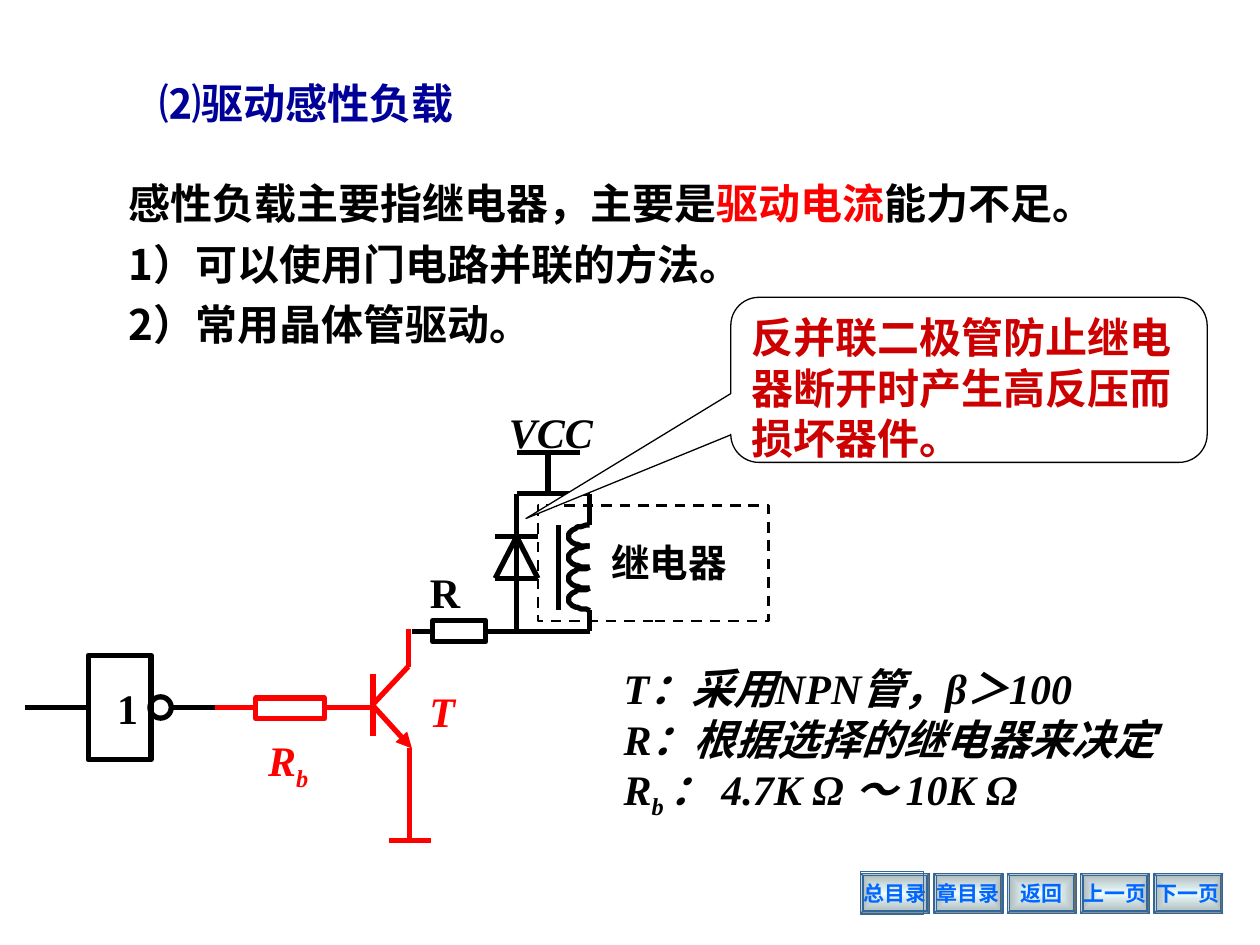
import math
from lxml import etree
from pptx import Presentation
from pptx import util as u
from pptx.dml.color import RGBColor
from pptx.enum import dml, shapes, text
from pptx.oxml import ns

SERIF, SANS = "Times New Roman", "Noto Sans CJK SC"
BLACK, RED, WHITE, EDGE = "000000", "FF0000", "FFFFFF", "336699"
KIND = shapes.MSO_SHAPE

TITLE = "⑵驱动感性负载"
INTRO = [
    [("感性负载主要指继电器，主要是", {}), ("驱动电流", {"colour": RED}), ("能力不足。", {})],
    [("1）可以使用门电路并联的方法。", {})],
    [("2）常用晶体管驱动。", {})],
]
ITALIC, SUB = {"italic": True}, {"italic": True, "sub": True}
NOTES = [
    [("T：采用NPN管，β＞100", ITALIC)],
    [("R：根据选择的继电器来决定", ITALIC)],
    [("R", ITALIC), ("b ", SUB), ("： 4.7K Ω ～ 10K Ω", ITALIC)],
]
CALLOUT = "反并联二极管防止继电器断开时产生高反压而损坏器件。"
BUTTONS = ["总目录", "章目录", "返回", "上一页", "下一页"]
# (left, top, width, height), colour, size, runs
LABELS = [
    ((59.8, 386.6, 28, 36), BLACK, 24, [("1", {})]),
    ((146.2, 416.2, 55.4, 40.3), RED, 24, [("R", ITALIC), ("b", SUB)]),
    ((238.3, 388.1, 38.9, 36), RED, 24, [("T", ITALIC)]),
    ((283.7, 228.8, 70, 36), BLACK, 24, [("VCC", ITALIC)]),
    ((342.2, 304.6, 88, 33.8), BLACK, 22, [("继电器", {})]),
    ((238.5, 320, 34, 36), BLACK, 24, [("R", {})]),
]

# Circuit nodes: x of diode, coil and supply; y of top rail, bottom rail and base line
DIODE, COIL, SUPPLY = 295.2, 337, 313.2
TOP, BOTTOM, BASE = 282.2, 360.7, 404.2
COIL_TOP, TURN, TURNS = 300.3, 12.05, 4
COIL_END = COIL_TOP + TURN * TURNS
BLACK_WIRES = [
    (14.4, BASE, 50.4, BASE), (97.9, BASE, 123.1, BASE),  # gate in and out
    (235.4, BOTTOM, 247, BOTTOM), (277.2, BOTTOM, COIL, BOTTOM),
    (DIODE, TOP, DIODE, BOTTOM), (DIODE, TOP, COIL, TOP),
    (283, 306.7, 307.4, 306.7), (283, 330.5, 307.4, 330.5),  # diode bars
    (307.4, 330.5, DIODE, 306.7), (283, 330.5, DIODE, 306.7),
    (COIL, TOP, COIL, COIL_TOP), (COIL, COIL_END, COIL, BOTTOM),
    (319, COIL_TOP, 319, COIL_END),  # coil core
    (SUPPLY, TOP, SUPPLY, 258.5), (295.2, 258.5, 331.2, 258.5),
]
RED_WIRES = [
    (123.1, BASE, 211.7, BASE), (213.1, 385.2, 213.1, 420.5),
    (213.1, 402.5, 233.3, 380.9), (233.3, 380.9, 233.3, 359.3),
    (234, 427.7, 234, 480.2), (222.5, 480.2, 246.2, 480.2),
]
EMITTER = (213.1, 403.2, 235.4, 427.7)

deck = Presentation()
deck.slide_width, deck.slide_height = u.Pt(720), u.Pt(540)
page = deck.slides.add_slide(deck.slide_layouts[5])


def rgb(value):
    return RGBColor.from_string(value)


def points(values):
    return [u.Pt(value) for value in values]


def write(box, paras, colour=BLACK, size=24, font=SERIF, wrap=True,
          align=text.PP_ALIGN.LEFT, anchor=text.MSO_ANCHOR.TOP, spacing=None):
    frame = box.text_frame
    frame.word_wrap, frame.vertical_anchor = wrap, anchor
    frame.margin_left = frame.margin_right = u.Pt(7.2)
    frame.margin_top = frame.margin_bottom = u.Pt(3.6)
    for index, runs in enumerate(paras):
        para = frame.add_paragraph() if index else frame.paragraphs[0]
        para.alignment, para.line_spacing = align, spacing
        for words, look in runs:
            span = para.add_run()
            span.text = words
            span.font.name, span.font.size, span.font.bold = font, u.Pt(size), True
            span.font.italic = look.get("italic", False)
            span.font.color.rgb = rgb(look.get("colour", colour))
            props = span.font._element
            etree.SubElement(props, ns.qn("a:ea"), typeface=SANS)
            if look.get("sub"):
                props.set("baseline", "-25000")


def textbox(area, paras, **style):
    box = page.shapes.add_textbox(*points(area))
    write(box, paras, **style)


def paint(shape, line, width, fill=None):
    shape.shadow.inherit = False
    shape.line.color.rgb, shape.line.width = rgb(line), u.Pt(width)
    if fill:
        shape.fill.solid()
        shape.fill.fore_color.rgb = rgb(fill)
    else:
        shape.fill.background()


def outline(kind, area, line, width, fill=None):
    shape = page.shapes.add_shape(kind, *points(area))
    paint(shape, line, width, fill)
    return shape


def wire(ends, colour, arrow=False):
    line = page.shapes.add_connector(shapes.MSO_CONNECTOR.STRAIGHT, *points(ends))
    line.line.color.rgb, line.line.width = rgb(colour), u.Pt(3)
    if arrow:
        etree.SubElement(line.line._get_or_add_ln(), ns.qn("a:tailEnd"), type="triangle")
    etree.SubElement(line._element.spPr, ns.qn("a:effectLst"))


def coil_turn(top):
    """Draw one left-facing half ellipse of the relay coil."""
    angles = [math.pi * step / 16 for step in range(17)]
    spots = [(COIL - 12 * math.sin(a), top + TURN / 2 * (1 - math.cos(a))) for a in angles]
    builder = page.shapes.build_freeform(*spots[0], scale=u.Pt(1))
    builder.add_line_segments(spots[1:], close=False)
    paint(builder.convert_to_shape(), BLACK, 3)


def button(left, label):
    """Draw a bevelled button lit from its centre."""
    shape = outline(KIND.BEVEL, (left, 499, 39.4, 23), EDGE, 0.75)
    shape.adjustments[0] = 0.0625
    shape.fill.gradient()
    for stop, colour in zip(shape.fill.gradient_stops, ("ECFDFE", "AAB6B7")):
        stop.color.rgb = rgb(colour)
    linear = shape._element.spPr.find(".//" + ns.qn("a:lin"))
    glow = etree.Element(ns.qn("a:path"), path="rect")
    etree.SubElement(glow, ns.qn("a:fillToRect"), l="50000", t="50000", r="50000", b="50000")
    linear.getparent().replace(linear, glow)
    write(shape, [[(label, {})]], "0066FF", 12, wrap=False,
          align=text.PP_ALIGN.CENTER, anchor=text.MSO_ANCHOR.MIDDLE)


title = page.shapes.title
title.left, title.top, title.width, title.height = points((70.6, 43.2, 209.5, 33.8))
write(title, [[(TITLE, {})]], "000099", align=text.PP_ALIGN.CENTER,
      anchor=text.MSO_ANCHOR.BOTTOM)

for index, label in enumerate(BUTTONS):
    button(491.8 + 41.9 * index, label)
outline(KIND.RECTANGLE, (491.8, 498.2, 36, 24.5), EDGE, 0.75)

textbox((66.2, 92.2, 625, 110.9), INTRO, font=SANS, spacing=1.2)

outline(KIND.RECTANGLE, (50.4, 374.4, 36, 59.8), BLACK, 3)
outline(KIND.OVAL, (85.7, 398.2, 12.2, 12.2), BLACK, 3)
for ends in BLACK_WIRES:
    wire(ends, BLACK)
for ends in RED_WIRES:
    wire(ends, RED)
wire(EMITTER, RED, arrow=True)
outline(KIND.RECTANGLE, (146.2, 398.9, 39.2, 11.8), RED, 3, WHITE)
outline(KIND.RECTANGLE, (247.3, 354.6, 30.2, 12.2), BLACK, 3)
for index in range(TURNS):
    coil_turn(COIL_TOP + TURN * index)
relay = outline(KIND.RECTANGLE, (307.4, 288.7, 131.8, 66.2), BLACK, 1.5)
relay.line.dash_style = dml.MSO_LINE.DASH

for area, colour, size, runs in LABELS:
    textbox(area, [runs], colour=colour, size=size)
textbox((349.2, 375.1, 327.6, 97.9), NOTES)

callout = outline(KIND.ROUNDED_RECTANGULAR_CALLOUT, (417.6, 169.9, 272.2, 94.3),
                  BLACK, 0.75, WHITE)
for index, value in enumerate((-0.93, 0.84, 0.17)):
    callout.adjustments[index] = value
write(callout, [[(CALLOUT, {})]], "CC0000")

deck.save("out.pptx")
